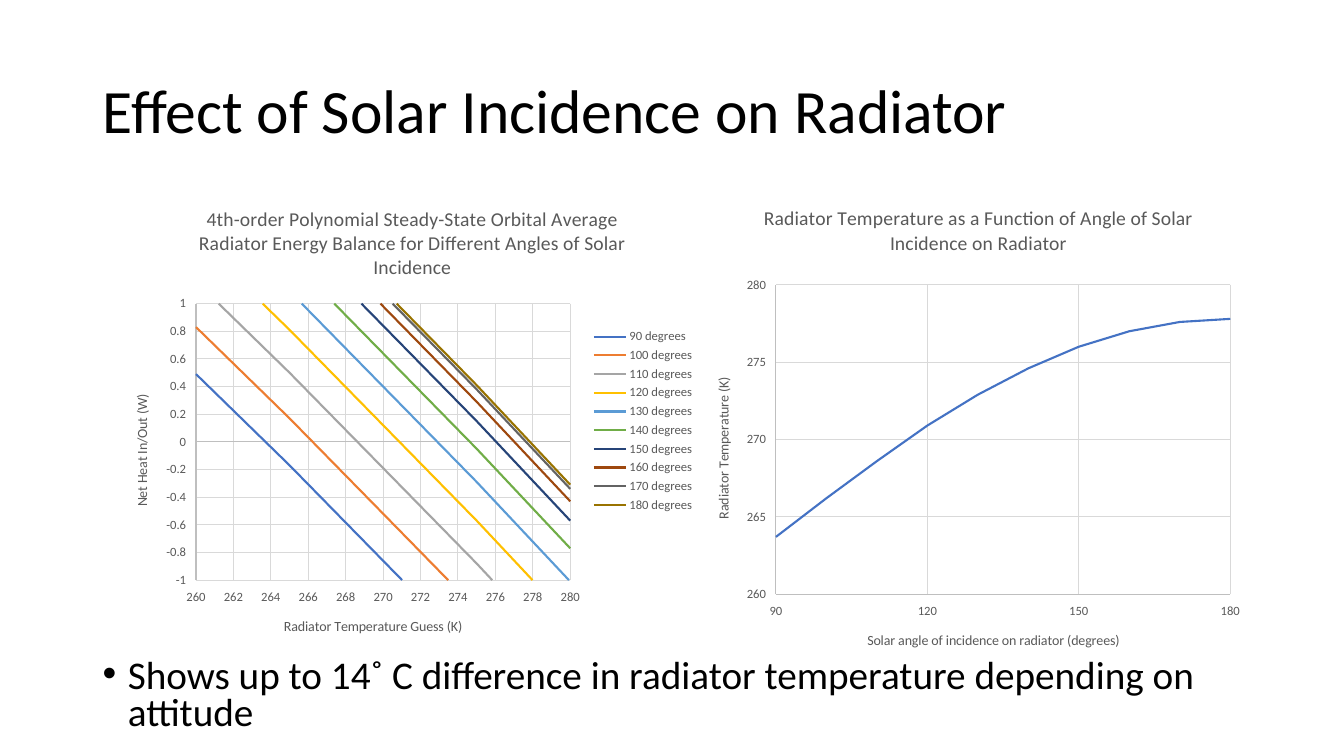
import pptx
import pptx.chart.data
import pptx.dml.color
import pptx.enum.chart
import pptx.enum.text
import pptx.oxml
import pptx.oxml.ns
import pptx.util
import lxml.etree

COLORS = {"text": "000000", "label": "595959", "axis": "BFBFBF", "grid": "D9D9D9"}
SERIES_COLORS = ["4472C4", "ED7D31", "A5A5A5", "FFC000", "5B9BD5",
                 "70AD47", "264478", "9E480E", "636363", "997300"]
FONT = "Calibri"
CELL = pptx.util.Inches(0.1)

ANGLES = range(90, 181, 10)
GUESSES = range(200, 361, 5)
HEAT_AT_90 = [7.37, 6.86, 6.34, 5.81, 5.27, 4.72, 4.16, 3.58, 2.99, 2.39, 1.77,
              1.14, 0.49, -0.17, -0.86, -1.55, -2.27, -3.01, -3.76, -4.53, -5.33,
              -6.15, -6.99, -7.85, -8.73, -9.64, -10.58, -11.54, -12.53, -13.54,
              -14.59, -15.66, -16.76]
HEAT_GAIN = [0, 0.34, 0.67, 0.98, 1.26, 1.5, 1.7, 1.84, 1.93, 1.96]
TEMPERATURES = [263.7, 266.2, 268.6, 270.9, 272.9, 274.6, 276, 277, 277.6, 277.8]


def set_font(font, size, color):
    font.name = FONT
    font.size = pptx.util.Pt(size)
    font.bold = False
    font.color.rgb = pptx.dml.color.RGBColor.from_string(COLORS[color])


def grid_box(*cells):
    return [int(n * CELL) for n in cells]


prs = pptx.Presentation()
prs.slide_width = pptx.util.Inches(13.33)
prs.slide_height = pptx.util.Inches(7.5)
s = prs.slides.add_slide(prs.slide_layouts[5])

title = s.shapes.title
title.left, title.top, title.width, title.height = grid_box(9.2, 4, 115, 14.5)
tf = title.text_frame
tf.text = "Effect of Solar Incidence on Radiator"
tf.word_wrap = True
tf.auto_size = pptx.enum.text.MSO_AUTO_SIZE.NONE
tf.vertical_anchor = pptx.enum.text.MSO_ANCHOR.MIDDLE
p = tf.paragraphs[0]
p.alignment = pptx.enum.text.PP_ALIGN.LEFT
p.line_spacing = 0.9
set_font(p.font, 44, "text")

charts = [
    {
        "title": "4th-order Polynomial Steady-State Orbital Average Radiator "
                 "Energy Balance for Different Angles of Solar Incidence",
        "box": (11.9, 18.5, 58, 46.5),
        "plot": (0.13, 0.25, 0.64, 0.59),
        "series": [(f"{angle} degrees", GUESSES, [round(q + gain, 2) for q in HEAT_AT_90])
                   for angle, gain in zip(ANGLES, HEAT_GAIN)],
        "axes": [("Radiator Temperature Guess (K)", 260, 280, 2),
                 ("Net Heat In/Out (W)", -1, 1, 0.2)],
    },
    {
        "title": "Radiator Temperature as a Function of Angle of Solar "
                 "Incidence on Radiator",
        "box": (69.9, 18.5, 54.3, 46.5),
        "plot": (0.13, 0.21, 0.83, 0.66),
        "series": [("Series 1", ANGLES, TEMPERATURES)],
        "axes": [("Solar angle of incidence on radiator (degrees)", 90, 180, 30),
                 ("Radiator Temperature (K)", 260, 280, 5)],
    },
]

for c in charts:
    data = pptx.chart.data.XyChartData()
    for name, xs, ys in c["series"]:
        series = data.add_series(name)
        for x, y in zip(xs, ys):
            series.add_data_point(x, y)
    chart = s.shapes.add_chart(
        pptx.enum.chart.XL_CHART_TYPE.XY_SCATTER_SMOOTH_NO_MARKERS,
        *grid_box(*c["box"]), data).chart
    set_font(chart.font, 10, "text")

    chart.has_title = True
    chart.chart_title.include_in_layout = False
    p = chart.chart_title.text_frame.paragraphs[0]
    p.add_run().text = c["title"]
    set_font(p.font, 14, "label")

    chart.has_legend = len(c["series"]) > 1
    if chart.has_legend:
        chart.legend.position = pptx.enum.chart.XL_LEGEND_POSITION.RIGHT
        chart.legend.include_in_layout = False
        set_font(chart.legend.font, 9, "label")

    chart.plots[0].vary_by_categories = False
    for series, color in zip(chart.plots[0].series, SERIES_COLORS):
        series.smooth = True
        series.format.line.width = pptx.util.Pt(1.5)
        series.format.line.color.rgb = pptx.dml.color.RGBColor.from_string(color)

    for axis, (name, low, high, step) in zip((chart.category_axis, chart.value_axis), c["axes"]):
        axis.minimum_scale, axis.maximum_scale, axis.major_unit = low, high, step
        axis.major_tick_mark = axis.minor_tick_mark = pptx.enum.chart.XL_TICK_MARK.NONE
        axis.tick_label_position = pptx.enum.chart.XL_TICK_LABEL_POSITION.LOW
        set_font(axis.tick_labels.font, 9, "label")
        axis.has_major_gridlines = True
        for line, color in ((axis.format.line, "axis"),
                            (axis.major_gridlines.format.line, "grid")):
            line.width = pptx.util.Pt(0.75)
            line.color.rgb = pptx.dml.color.RGBColor.from_string(COLORS[color])
        axis.has_title = True
        p = axis.axis_title.text_frame.paragraphs[0]
        p.add_run().text = name
        set_font(p.font, 10, "label")

    plot_area = chart.plots[0]._element.getparent()
    for old in plot_area.findall(pptx.oxml.ns.qn("c:layout")):
        plot_area.remove(old)
    layout = lxml.etree.Element(pptx.oxml.ns.qn("c:layout"))
    manual = lxml.etree.SubElement(layout, pptx.oxml.ns.qn("c:manualLayout"))
    settings = [("layoutTarget", "inner"), ("xMode", "edge"), ("yMode", "edge")]
    settings += zip("xywh", c["plot"])
    for tag, value in settings:
        lxml.etree.SubElement(manual, pptx.oxml.ns.qn(f"c:{tag}")).set("val", str(value))
    plot_area.insert(0, layout)

tf = s.shapes.add_textbox(*grid_box(9.2, 64.9, 115, 8.8)).text_frame
tf.word_wrap = True
p = tf.paragraphs[0]
p.text = "Shows up to 14˚ C difference in radiator temperature depending on attitude"
p.line_spacing = 0.8
p.space_before = pptx.util.Pt(10)
set_font(p.font, 28, "text")
pPr = p._p.get_or_add_pPr()
indent = pptx.util.Inches(0.25)
pPr.set("marL", str(indent))
pPr.set("indent", str(-indent))
bullet_font = lxml.etree.Element(pptx.oxml.ns.qn("a:buFont"), typeface="Arial")
bullet = lxml.etree.Element(pptx.oxml.ns.qn("a:buChar"), char="•")
pPr.find(pptx.oxml.ns.qn("a:defRPr")).addprevious(bullet_font)
bullet_font.addnext(bullet)

prs.save("out.pptx")
